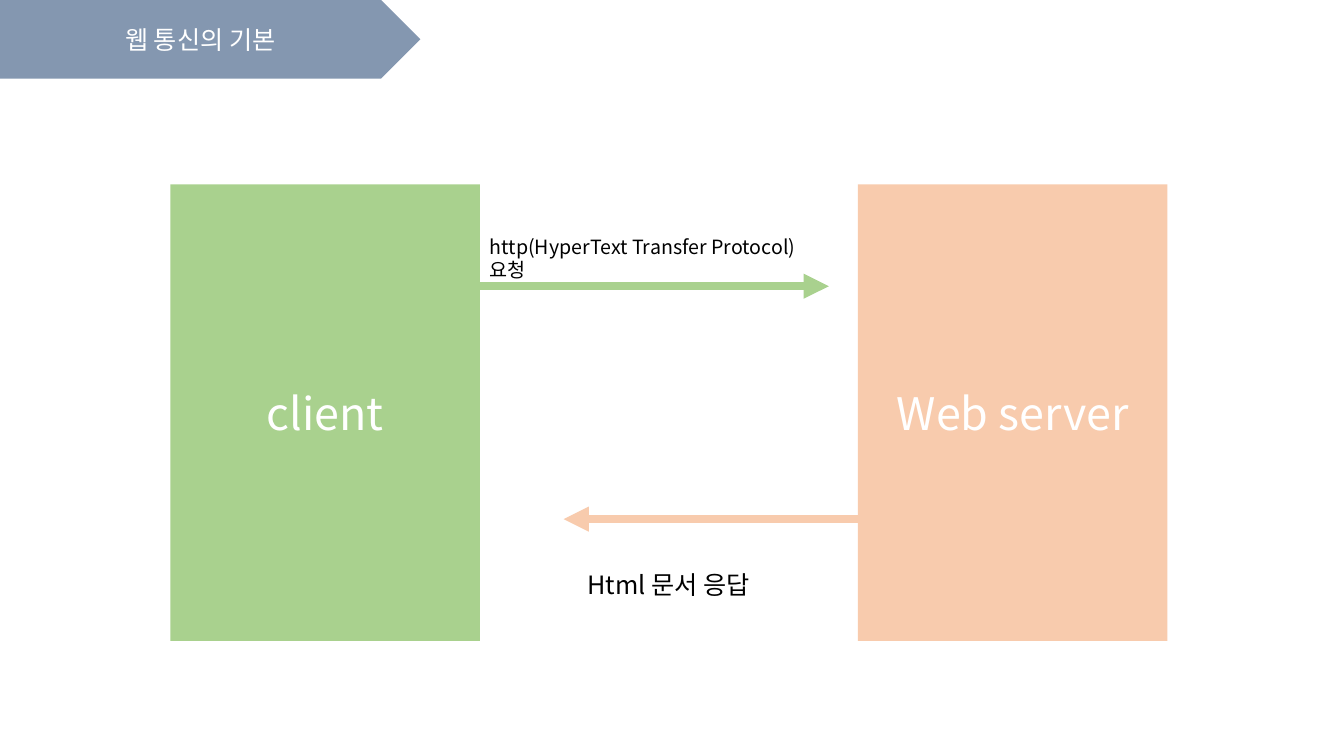
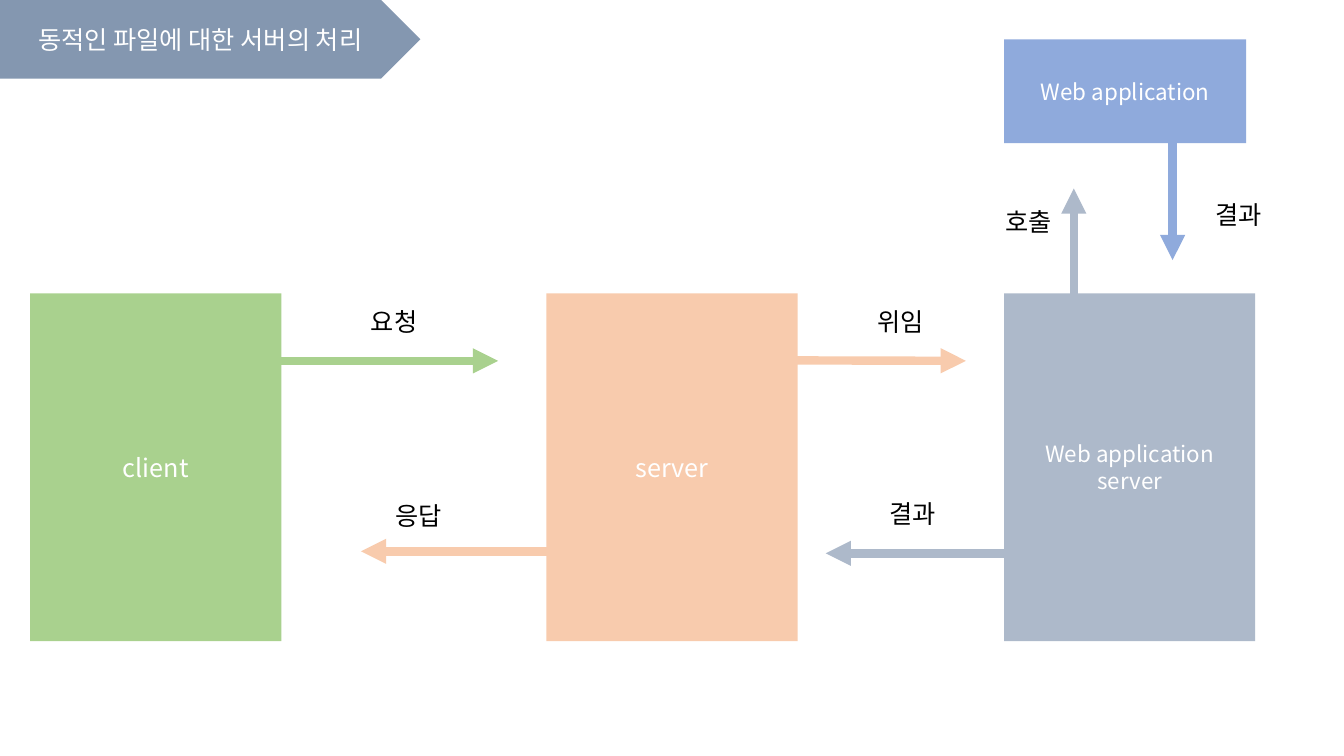
from dataclasses import dataclass

from lxml.etree import SubElement
from pptx import Presentation
from pptx.dml.color import RGBColor
from pptx.enum.shapes import MSO_CONNECTOR as Connector, MSO_SHAPE as Shape
from pptx.enum.text import MSO_ANCHOR as Anchor, MSO_AUTO_SIZE as AutoSize, PP_ALIGN as Align
from pptx.oxml.ns import qn
from pptx.util import Emu, Pt

PX = 9144  # EMU in one px, 100 px to the inch


@dataclass(frozen=True)
class Theme:
    font: str = "Noto Sans CJK KR"
    white: str = "FFFFFF"
    black: str = "000000"
    banner: str = "8497B0"
    client: str = "A9D18E"
    server: str = "F8CBAD"
    app_server: str = "ADB9CA"
    app: str = "8FAADC"
    hero: int = 32
    body: int = 18
    small: int = 16
    note: int = 14
    stroke: int = 6


THEME = Theme()


def px(*lengths):
    return [Emu(length * PX) for length in lengths]


def apply_format(target, values):
    for name, value in values.items():
        setattr(target, name, value)


def write(box, text, size, color, align, frame_format):
    """Put one line of styled text in a shape or text box."""
    apply_format(box.text_frame, frame_format)
    para = box.text_frame.paragraphs[0]
    para.alignment = align
    span = para.add_run()
    span.text = text
    apply_format(span.font, {"name": THEME.font, "size": Pt(size)})
    span.font.color.rgb = RGBColor.from_string(color)
    # Hangul takes its typeface from the East Asian slot
    SubElement(span.font._element, qn("a:ea"), typeface=THEME.font)


def add_block(page, text, at, color, size=THEME.body, preset=Shape.RECTANGLE):
    block = page.shapes.add_shape(preset, *px(*at))
    block.shadow.inherit = False
    block.fill.solid()
    block.fill.fore_color.rgb = RGBColor.from_string(color)
    block.line.fill.background()
    write(block, text, size, THEME.white, Align.CENTER,
          {"word_wrap": True, "vertical_anchor": Anchor.MIDDLE})


def add_label(page, text, left, top, width=71, height=40, size=THEME.body):
    label = page.shapes.add_textbox(*px(left, top, width, height))
    write(label, text, size, THEME.black, Align.LEFT,
          {"word_wrap": True, "auto_size": AutoSize.SHAPE_TO_FIT_TEXT})


def add_arrow(page, start, end, color):
    arrow = page.shapes.add_connector(Connector.STRAIGHT, *px(*start, *end))
    arrow.line.width = Pt(THEME.stroke)
    arrow.line.color.rgb = RGBColor.from_string(color)
    SubElement(arrow.line._get_or_add_ln(), qn("a:tailEnd"), type="triangle")
    SubElement(arrow._element.spPr, qn("a:effectLst"))


def add_page(deck, title):
    page = deck.slides.add_slide(deck.slide_layouts[6])
    add_block(page, title, (0, 0, 417, 78), THEME.banner, preset=Shape.PENTAGON)
    return page


def build_basics(deck):
    page = add_page(deck, "웹 통신의 기본")

    # Arrows start behind the block of their own colour
    add_arrow(page, (454, 284), (822, 284), THEME.client)
    add_arrow(page, (953, 515), (559, 515), THEME.server)

    # Two parties
    for text, left, color in (("client", 169, THEME.client),
                              ("Web server", 851, THEME.server)):
        add_block(page, text, (left, 183, 307, 453), color, THEME.hero)

    # Messages
    add_label(page, "http(HyperText Transfer Protocol) 요청", 476, 228, 360, 34, THEME.note)
    add_label(page, "Html 문서 응답", 573, 560, 194)


def build_dynamic(deck):
    page = add_page(deck, "동적인 파일에 대한 서버의 처리")

    # Arrows start behind the block of their own colour
    for start, end, color in (
        ((126, 358), (494, 358), THEME.client),
        ((752, 547), (358, 547), THEME.server),
        ((569, 357), (958, 358), THEME.server),
        ((1065, 549), (819, 549), THEME.app_server),
        ((1065, 547), (1065, 187), THEME.app_server),
        ((1163, 129), (1163, 258), THEME.app),
    ):
        add_arrow(page, start, end, color)

    # Row of three parties, with the application above the last
    for text, left, color, size in (
        ("client", 30, THEME.client, THEME.body),
        ("server", 542, THEME.server, THEME.body),
        ("Web application server", 996, THEME.app_server, THEME.small),
    ):
        add_block(page, text, (left, 291, 249, 345), color, size)
    add_block(page, "Web application", (996, 39, 240, 103), THEME.app, THEME.small)

    # Messages
    for text, left, top in (
        ("요청", 358, 299),
        ("응답", 382, 491),
        ("위임", 860, 299),
        ("결과", 872, 489),
        ("호출", 987, 200),
        ("결과", 1196, 193),
    ):
        add_label(page, text, left, top)


def main():
    deck = Presentation()
    deck.slide_width, deck.slide_height = px(1333, 750)
    build_basics(deck)
    build_dynamic(deck)
    deck.save("out.pptx")


if __name__ == "__main__":
    main()
